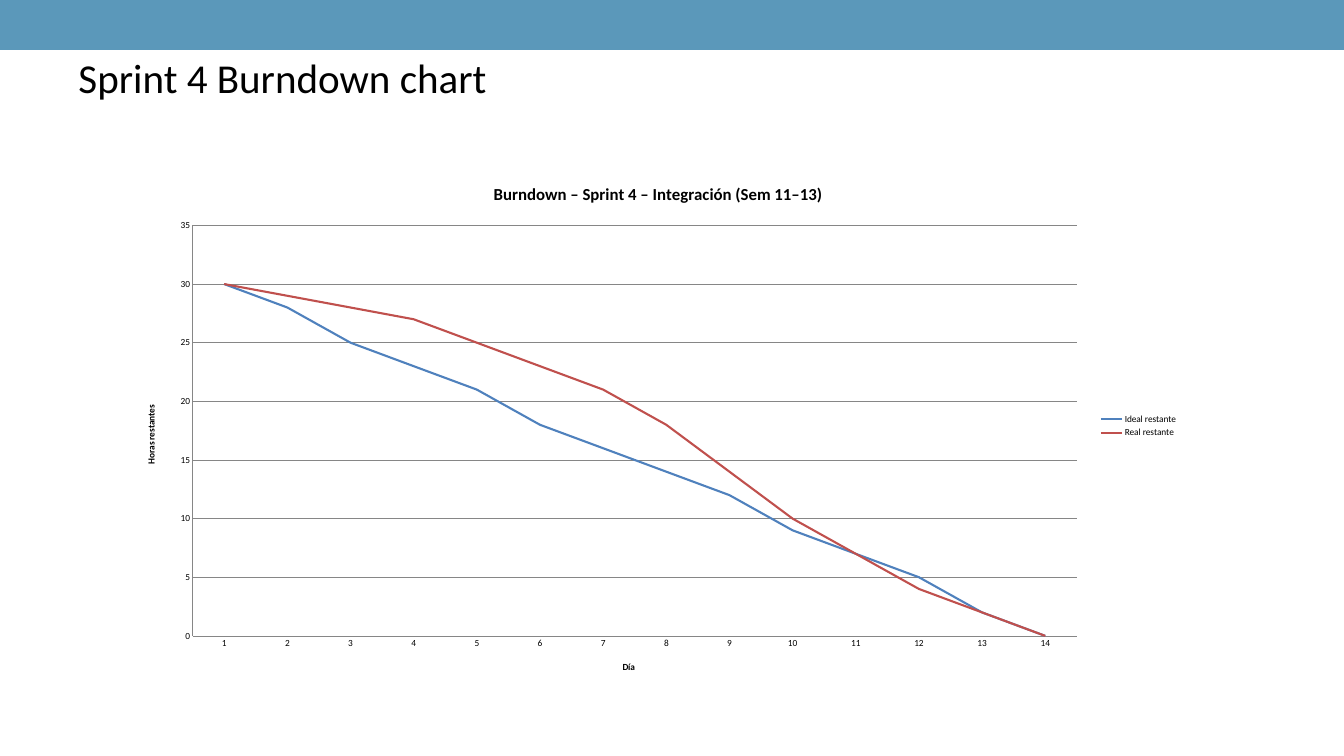
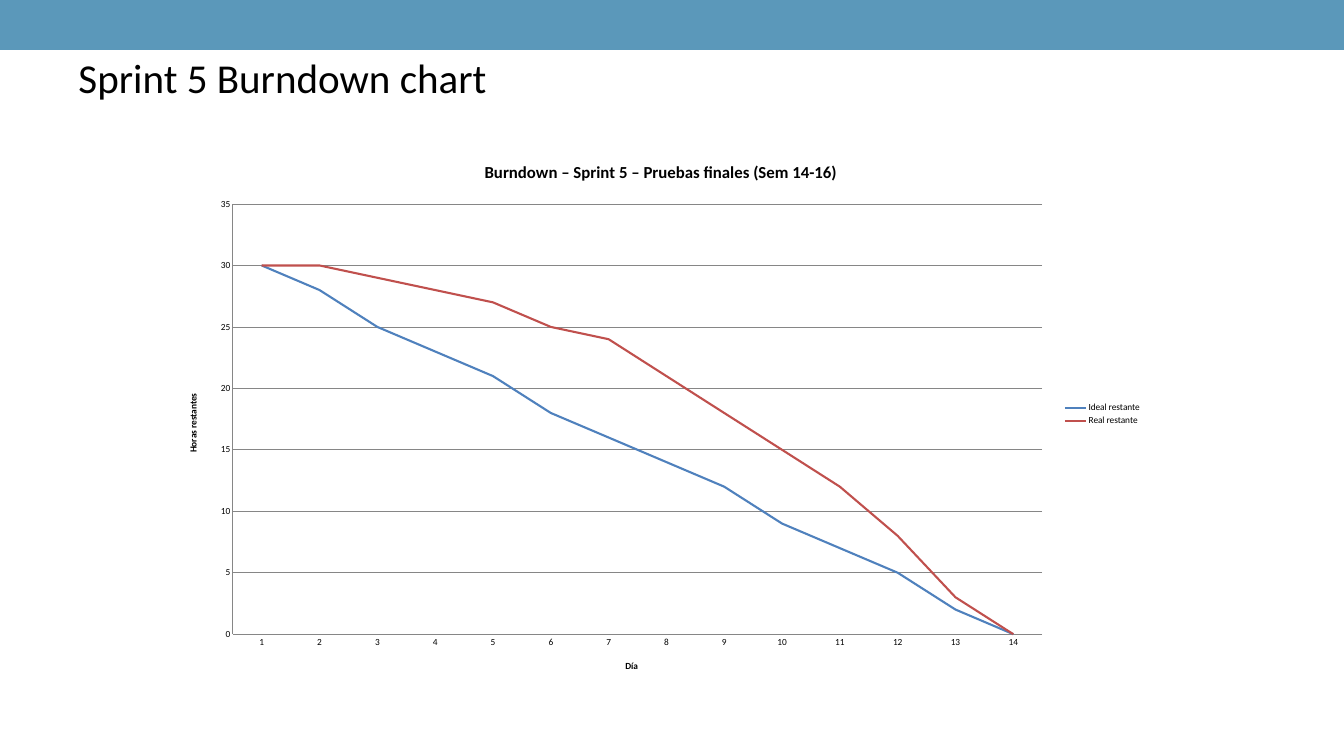
from dataclasses import dataclass

from pptx import Presentation
from pptx.chart.axis import CategoryAxis, ValueAxis
from pptx.chart.chart import Chart
from pptx.chart.data import CategoryChartData
from pptx.dml.color import RGBColor
from pptx.enum.chart import XL_CHART_TYPE, XL_LEGEND_POSITION, XL_TICK_MARK
from pptx.enum.shapes import MSO_SHAPE
from pptx.enum.text import MSO_AUTO_SIZE
from pptx.slide import Slide
from pptx.text.text import Font, TextFrame
from pptx.util import Pt

LINE_CHART = XL_CHART_TYPE.LINE
LEGEND_RIGHT = XL_LEGEND_POSITION.RIGHT
NO_TICK = XL_TICK_MARK.NONE
RECTANGLE = MSO_SHAPE.RECTANGLE
GROW_TO_TEXT = MSO_AUTO_SIZE.SHAPE_TO_FIT_TEXT

FONT_NAME = "Calibri"
COLORS = {
    "band": "5B98BA",
    "text": "000000",
    "ideal": "4F81BD",
    "real": "C0504D",
    "axis": "868686",
}
SPRINT_DAYS = 14
SPRINT_HOURS = 30
DAYS = [str(day) for day in range(1, SPRINT_DAYS + 1)]
IDEAL_HOURS = [
    round(SPRINT_HOURS * (SPRINT_DAYS - day) / (SPRINT_DAYS - 1))
    for day in range(1, SPRINT_DAYS + 1)
]


@dataclass(frozen=True)
class Box:
    left: float
    top: float
    width: float
    height: float

    def lengths(self) -> tuple[Pt, Pt, Pt, Pt]:
        return Pt(self.left), Pt(self.top), Pt(self.width), Pt(self.height)


@dataclass(frozen=True)
class Sprint:
    heading: str
    chart_title: str
    chart_box: Box
    real_hours: list[int]


BAND_BOX = Box(-56.88, -53.28, 1524.24, 106.8)
HEADING_BOX = Box(84.1, 46.4, 686.88, 59.76)

SPRINTS = [
    Sprint(
        "Sprint 4 Burndown chart",
        "Burndown – Sprint 4 – Integración (Sem 11–13)",
        Box(141, 177.12, 1128.24, 558.72),
        [30, 29, 28, 27, 25, 23, 21, 18, 14, 10, 7, 4, 2, 0],
    ),
    Sprint(
        "Sprint 5 Burndown chart",
        "Burndown – Sprint 5 – Pruebas finales (Sem 14-16)",
        Box(185.76, 153.36, 1044.72, 581.04),
        [30, 30, 29, 28, 27, 25, 24, 21, 18, 15, 12, 8, 3, 0],
    ),
]


def color(key: str) -> RGBColor:
    return RGBColor.from_string(COLORS[key])


def style_font(font: Font, size: float, bold: bool = False) -> None:
    font.name = FONT_NAME
    font.size = Pt(size)
    font.bold = bold
    font.color.rgb = color("text")


def write_text(frame: TextFrame, text: str, size: float, bold: bool = False) -> None:
    frame.text = text
    style_font(frame.paragraphs[0].runs[0].font, size, bold)


def draw_band(slide: Slide) -> None:
    band = slide.shapes.add_shape(RECTANGLE, *BAND_BOX.lengths())
    band.shadow.inherit = False
    band.fill.solid()
    band.fill.fore_color.rgb = color("band")
    band.line.fill.background()


def draw_heading(slide: Slide, heading: str) -> None:
    frame = slide.shapes.add_textbox(*HEADING_BOX.lengths()).text_frame
    frame.margin_left = frame.margin_right = Pt(0)
    frame.margin_top = frame.margin_bottom = Pt(0)
    frame.word_wrap = True
    frame.auto_size = GROW_TO_TEXT
    write_text(frame, heading, 44)
    frame.paragraphs[0].line_spacing = Pt(63)


def style_axis(axis: CategoryAxis | ValueAxis, title: str) -> None:
    axis.major_tick_mark = axis.minor_tick_mark = NO_TICK
    axis.format.line.color.rgb = color("axis")
    axis.format.line.width = Pt(0.75)
    style_font(axis.tick_labels.font, 10)
    write_text(axis.axis_title.text_frame, title, 10, bold=True)


def style_series(chart: Chart) -> None:
    for series, key in zip(chart.plots[0].series, ("ideal", "real")):
        series.smooth = False
        series.format.line.color.rgb = color(key)
        series.format.line.width = Pt(2.25)


def draw_burndown(slide: Slide, sprint: Sprint) -> None:
    hours = CategoryChartData()
    hours.categories = DAYS
    hours.add_series("Ideal restante", IDEAL_HOURS)
    hours.add_series("Real restante", sprint.real_hours)
    chart = slide.shapes.add_chart(
        LINE_CHART, *sprint.chart_box.lengths(), hours
    ).chart
    style_font(chart.font, 10)
    write_text(chart.chart_title.text_frame, sprint.chart_title, 18, bold=True)
    chart.chart_title.include_text_in_layout = False
    chart.has_legend = True
    chart.legend.position = LEGEND_RIGHT
    chart.legend.include_in_layout = False
    style_font(chart.legend.font, 10)
    chart.plots[0].vary_by_categories = False
    style_series(chart)

    style_axis(chart.category_axis, "Día")
    remaining = chart.value_axis
    style_axis(remaining, "Horas restantes")
    remaining.minimum_scale = 0
    remaining.maximum_scale = 35
    remaining.major_unit = 5
    remaining.has_major_gridlines = True
    remaining.major_gridlines.format.line.color.rgb = color("axis")
    remaining.major_gridlines.format.line.width = Pt(0.75)


def main() -> None:
    deck = Presentation()
    deck.slide_width, deck.slide_height = Pt(1440), Pt(810)
    blank = deck.slide_layouts[6]
    for sprint in SPRINTS:
        slide = deck.slides.add_slide(blank)
        draw_band(slide)
        draw_heading(slide, sprint.heading)
        draw_burndown(slide, sprint)
    deck.save("out.pptx")


if __name__ == "__main__":
    main()
